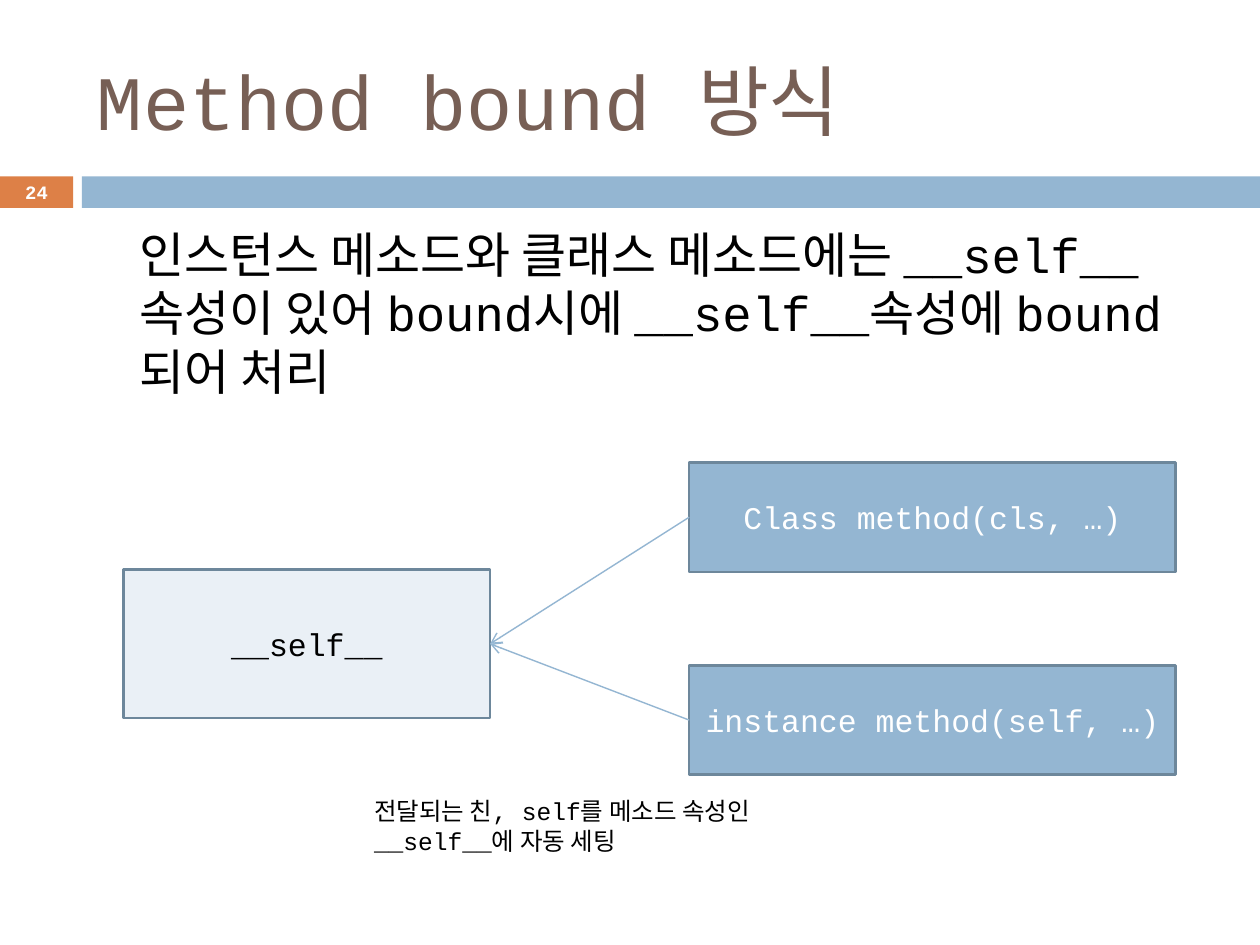
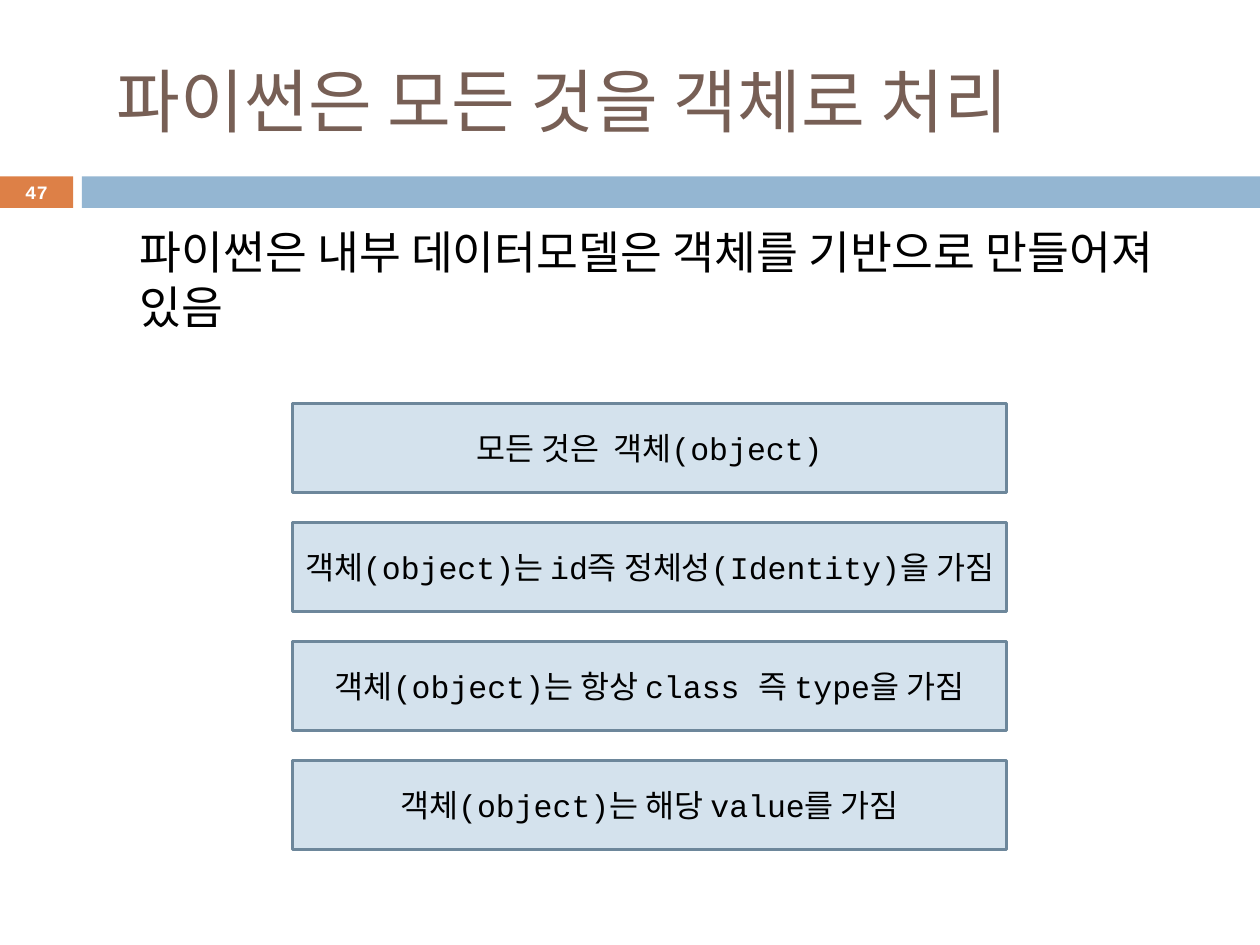
"""Builds two slides on Python method binding and the object model."""
from pptx import Presentation
from pptx.dml.color import RGBColor
from pptx.enum.shapes import MSO_CONNECTOR as Connector, MSO_SHAPE as Shape
from pptx.enum.text import MSO_ANCHOR as Anchor, PP_ALIGN as Align
from pptx.oxml.ns import qn
from pptx.util import Inches, Pt
from lxml.etree import SubElement

FONT = "Courier New"
COLORS = {
    "title": "775F55", "number": "DD8047", "band": "94B6D2", "outline": "6D879B",
    "self": "EAF0F6", "rule": "D4E2ED", "black": "000000", "white": "FFFFFF",
}


def write(box, text, size, color, align=Align.LEFT, anchor=Anchor.TOP, indent=0, bold=False):
    frame = box.text_frame
    frame.word_wrap = True
    frame.vertical_anchor = anchor
    frame.text = text
    para = frame.paragraphs[0]
    para.alignment = align
    if indent:
        para._p.get_or_add_pPr().set("marL", str(Inches(indent)))
    for span in para.runs:
        span.font.name = FONT
        span.font.size = Pt(size)
        span.font.bold = bold
        span.font.color.rgb = RGBColor.from_string(COLORS[color])
    return para


def add_box(page, left, top, width, height, fill, text="", color="black"):
    box = page.shapes.add_shape(Shape.RECTANGLE, Inches(left), Inches(top), Inches(width), Inches(height))
    box.shadow.inherit = False
    box.fill.solid()
    box.fill.fore_color.rgb = RGBColor.from_string(COLORS[fill])
    if text:
        box.line.color.rgb = RGBColor.from_string(COLORS["outline"])
        box.line.width = Pt(1.5)
        write(box, text, 18, color, Align.CENTER, Anchor.MIDDLE)
    else:
        box.line.fill.background()
    return box


deck = Presentation()
deck.slide_width = Inches(10)
deck.slide_height = Inches(7.5)

slides = [
    ("24", "Method bound 방식", 44, 0,
     "인스턴스 메소드와 클래스 메소드에는 __self__속성이 있어 bound시에 __self__속성에 bound되어 처리", 28, 1),
    ("47", "파이썬은 모든 것을 객체로 처리", 39.6, 0.16,
     "파이썬은 내부 데이터모델은 객체를 기반으로 만들어져 있음", 26, 1.55),
]
pages = []
for number, title, title_size, title_indent, body, body_size, body_height in slides:
    page = deck.slides.add_slide(deck.slide_layouts[6])
    pages.append(page)
    add_box(page, 0, 1.4, 0.58, 0.25, "number")
    add_box(page, 0.65, 1.4, 9.35, 0.25, "band")
    title_box = page.shapes.add_textbox(Inches(0.67), Inches(0.25), Inches(8.92), Inches(1.08))
    write(title_box, title, title_size, "title", anchor=Anchor.MIDDLE, indent=title_indent)
    body_box = page.shapes.add_textbox(Inches(0.51), Inches(1.73), Inches(9), Inches(body_height))
    write(body_box, body, body_size, "black", indent=0.5).space_before = Pt(5.5)
    number_box = page.shapes.add_textbox(0, Inches(1.39), Inches(0.58), Inches(0.27))
    write(number_box, number, 10.8, "white", Align.CENTER, Anchor.MIDDLE, bold=True)

binding_page, object_page = pages

self_box = add_box(binding_page, 0.98, 4.52, 2.91, 1.18, "self", "__self__")
for top, signature in [(3.67, "Class method(cls, …)"), (5.28, "instance method(self, …)")]:
    method_box = add_box(binding_page, 5.47, top, 3.86, 0.87, "band", signature, "white")
    arrow = binding_page.shapes.add_connector(Connector.STRAIGHT, 0, 0, 0, 0)
    arrow.begin_connect(method_box, 1)
    arrow.end_connect(self_box, 3)
    arrow.line.color.rgb = RGBColor.from_string(COLORS["band"])
    arrow.line.width = Pt(0.79)
    SubElement(arrow.line._get_or_add_ln(), qn("a:tailEnd"), type="arrow")
    SubElement(arrow._element.spPr, qn("a:effectLst"))

caption = binding_page.shapes.add_textbox(Inches(2.87), Inches(6.27), Inches(3.31), Inches(0.57))
write(caption, "전달되는 친, self를 메소드 속성인 __self__에 자동 세팅", 14, "black")

object_rules = [
    "모든 것은  객체(object)",
    "객체(object)는 id즉 정체성(Identity)을 가짐",
    "객체(object)는 항상 class 즉 type을 가짐",
    "객체(object)는 해당 value를 가짐",
]
for row, rule in enumerate(object_rules):
    add_box(object_page, 2.32, 3.2 + row * 0.945, 5.67, 0.71, "rule", rule)

deck.save("out.pptx")
